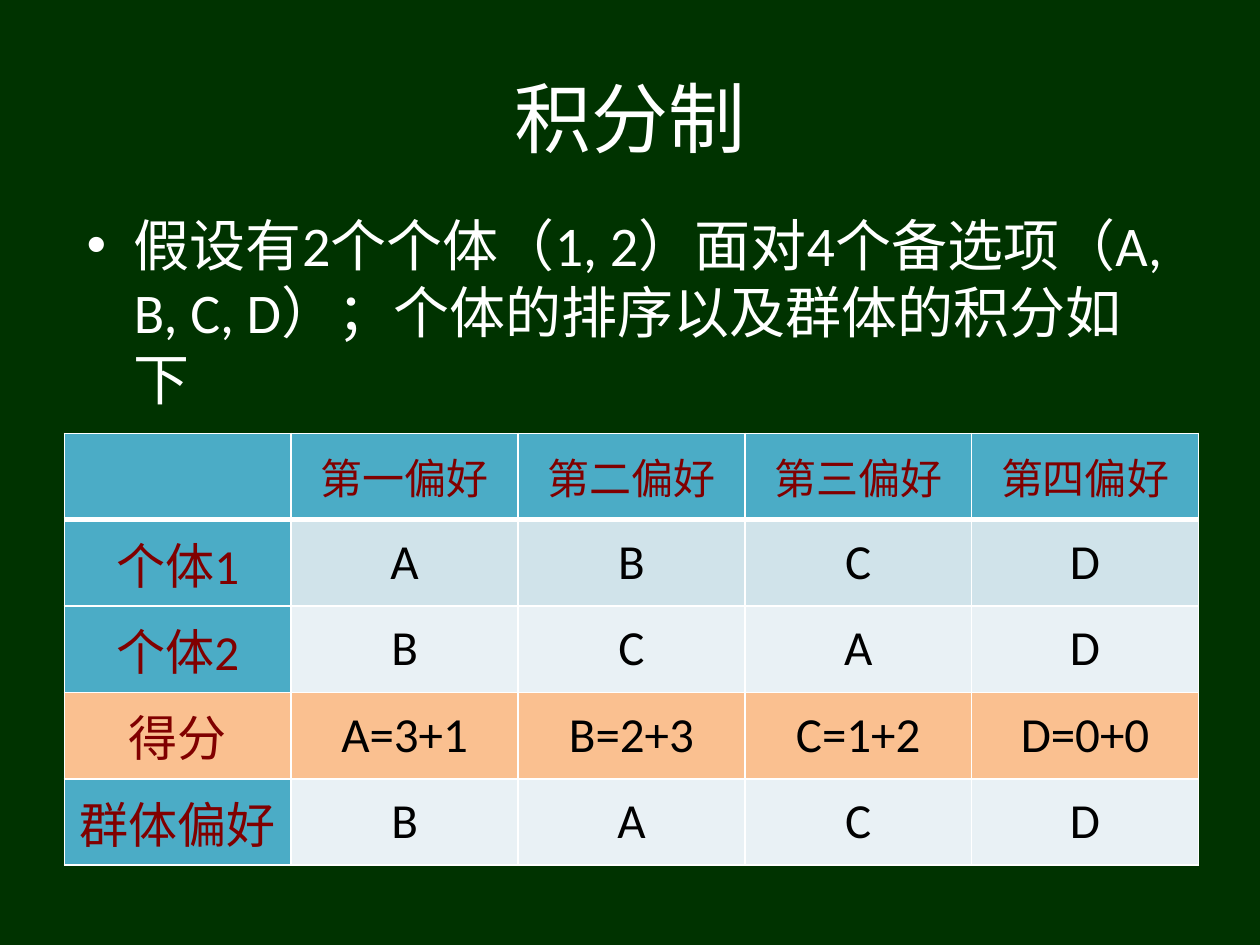
from dataclasses import dataclass

from lxml import etree
from pptx import Presentation
from pptx import util as u
from pptx.dml.color import RGBColor
from pptx.enum import text
from pptx.oxml import ns

HUES = {
    "back": "003300", "white": "FFFFFF", "black": "000000", "red": "800000",
    "teal": "4BACC6", "mid": "D0E3EA", "pale": "E9F1F5", "peach": "FAC090",
}
LATIN, HAN = "Calibri", "Noto Sans CJK SC"


@dataclass
class Box:
    left: float
    top: float
    width: float
    height: float

    def span(self) -> tuple:
        return tuple(u.Pt(n) for n in (self.left, self.top, self.width, self.height))


@dataclass
class Row:
    cells: tuple
    head: str
    fill: str
    size: int = 28
    ink: str = "black"
    base: int = 1


ROWS = (
    Row(("", "第一偏好", "第二偏好", "第三偏好", "第四偏好"), "teal", "teal", 24, "red", 3),
    Row(("个体1", "A", "B", "C", "D"), "teal", "mid"),
    Row(("个体2", "B", "C", "A", "D"), "teal", "pale"),
    Row(("得分", "A=3+1", "B=2+3", "C=1+2", "D=0+0"), "peach", "peach"),
    Row(("群体偏好", "B", "A", "C", "D"), "teal", "pale"),
)


def hue(name: str) -> RGBColor:
    return RGBColor.from_string(HUES[name])


def add_run(para, words: str, size: int, ink: str) -> None:
    run = para.add_run()
    run.text = words
    run.font.size = u.Pt(size)
    run.font.color.rgb = hue(ink)
    run.font.name = LATIN
    east = etree.SubElement(run.font._element, ns.qn("a:ea"))
    east.set("typeface", HAN)


def add_box(slide, box: Box, anchor):
    frame = slide.shapes.add_textbox(*box.span()).text_frame
    frame.word_wrap = True
    frame.vertical_anchor = anchor
    return frame.paragraphs[0]


def add_dot(para, indent: float) -> None:
    props = para._p.get_or_add_pPr()
    props.set("marL", str(u.Pt(indent)))
    props.set("indent", str(-u.Pt(indent)))
    font = etree.SubElement(props, ns.qn("a:buFont"))
    font.set("typeface", "Arial")
    dot = etree.SubElement(props, ns.qn("a:buChar"))
    dot.set("char", "•")


def add_edges(cell, base: int) -> None:
    props = cell._tc.get_or_add_tcPr()
    for spot, side in enumerate("LRTB"):
        line = etree.Element(ns.qn(f"a:ln{side}"))
        line.set("w", str(u.Pt(base if side == "B" else 1)))
        fill = etree.SubElement(line, ns.qn("a:solidFill"))
        etree.SubElement(fill, ns.qn("a:srgbClr")).set("val", HUES["white"])
        props.insert(spot, line)


def add_cell(cell, words: str, fill: str, size: int, ink: str, base: int) -> None:
    cell.fill.solid()
    cell.fill.fore_color.rgb = hue(fill)
    cell.vertical_anchor = text.MSO_ANCHOR.MIDDLE
    add_edges(cell, base)
    para = cell.text_frame.paragraphs[0]
    para.alignment = text.PP_ALIGN.CENTER
    if words:
        add_run(para, words, size, ink)


def add_grid(slide, box: Box, rows: tuple) -> None:
    grid = slide.shapes.add_table(len(rows), len(rows[0].cells), *box.span()).table
    for r, row in enumerate(rows):
        for c, words in enumerate(row.cells):
            fill, ink = (row.fill, row.ink) if c else (row.head, "red")
            add_cell(grid.cell(r, c), words, fill, row.size, ink, row.base)


def main() -> None:
    deck = Presentation()
    deck.slide_width, deck.slide_height = u.Pt(720), u.Pt(540)
    slide = deck.slides.add_slide(deck.slide_layouts[6])
    slide.background.fill.solid()
    slide.background.fill.fore_color.rgb = hue("back")

    title = add_box(slide, Box(36, 21.6, 648, 90), text.MSO_ANCHOR.MIDDLE)
    title.alignment = text.PP_ALIGN.CENTER
    add_run(title, "积分制", 44, "white")

    body = add_box(slide, Box(42.5, 116.6, 635.8, 121.7), text.MSO_ANCHOR.TOP)
    add_dot(body, 27)
    add_run(body, "假设有2个个体（1, 2）面对4个备选项（A, B, C, D）；"
                  "个体的排序以及群体的积分如下", 32, "white")

    add_grid(slide, Box(36.8, 247.6, 648, 246.8), ROWS)
    deck.save("out.pptx")


if __name__ == "__main__":
    main()
